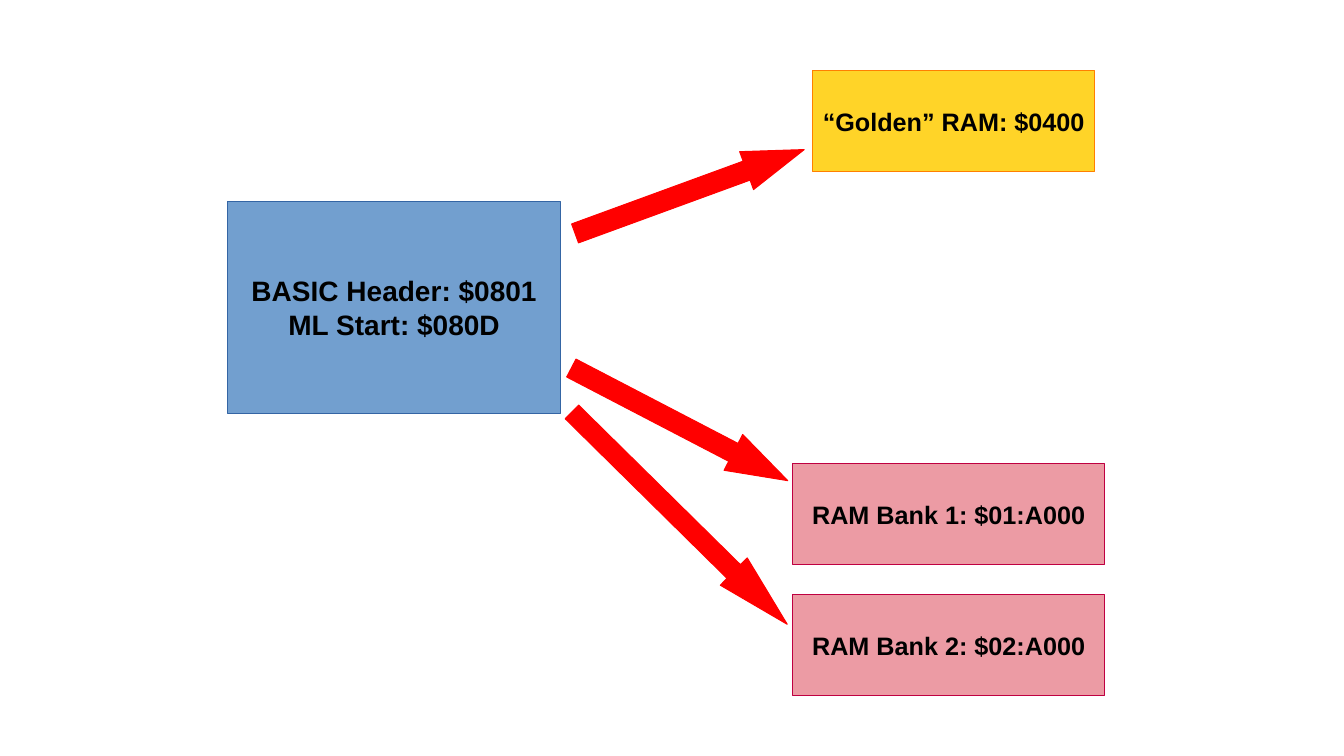
import pptx
import pptx.util
from pptx.dml.color import RGBColor
from pptx.enum.shapes import MSO_SHAPE
from pptx.enum.text import MSO_ANCHOR, PP_ALIGN
from pptx.util import Inches

COLORS = {
    "header": "729FCF", "header_line": "3465A4",
    "golden": "FFD428", "golden_line": "FF8000",
    "bank": "EC9BA4", "bank_line": "BF0041",
    "arrow": "FF0000", "text": "000000",
}


def add_filled(s, kind, at, fill, line):
    """Add a preset shape with a flat fill and a hairline outline."""
    sp = s.shapes.add_shape(kind, *(Inches(v) for v in at))
    sp.shadow.inherit = False
    sp.fill.solid()
    sp.fill.fore_color.rgb = RGBColor.from_string(COLORS[fill])
    sp.line.color.rgb = RGBColor.from_string(COLORS[line])
    sp.line.width = pptx.util.Pt(0)
    return sp


def add_block(s, at, color, lines, size=18):
    """Add a memory block with centred bold lines."""
    sp = add_filled(s, MSO_SHAPE.RECTANGLE, at, color, color + "_line")
    tf = sp.text_frame
    tf.word_wrap = False
    tf.vertical_anchor = MSO_ANCHOR.MIDDLE
    for i, text in enumerate(lines):
        p = tf.paragraphs[0] if i == 0 else tf.add_paragraph()
        p.text = text
        p.alignment = PP_ALIGN.CENTER
        p.font.name = "Arial"
        p.font.size = pptx.util.Pt(size)
        p.font.bold = True
        p.font.color.rgb = RGBColor.from_string(COLORS["text"])


def add_arrow(s, at, angle, head):
    """Add a rotated block arrow; head is its head length over its height."""
    sp = add_filled(s, MSO_SHAPE.RIGHT_ARROW, at, "arrow", "arrow")
    sp.adjustments[0] = 0.5
    sp.adjustments[1] = head
    sp.rotation = angle


def main():
    prs = pptx.Presentation()
    prs.slide_width, prs.slide_height = Inches(13.33), Inches(7.5)
    s = prs.slides.add_slide(prs.slide_layouts[6])

    # Program and golden RAM
    add_block(s, (2.26, 2, 3.3, 2.1), "header",
              ["BASIC Header: $0801", "ML Start: $080D"], size=20)
    add_block(s, (8.06, 0.7, 2.8, 1), "golden", ["“Golden” RAM: $0400"])

    # RAM banks
    for bank in (1, 2):
        add_block(s, (7.86, 3.3 + 1.3 * bank, 3.1, 1), "bank",
                  [f"RAM Bank {bank}: $0{bank}:A000"])

    # Arrows from the program to each memory area
    add_arrow(s, (5.63, 1.7, 2.42, 0.4), 339.9, 1.52)
    add_arrow(s, (5.53, 4.01, 2.42, 0.4), 27.5, 1.52)
    add_arrow(s, (5.24, 4.95, 3, 0.38), 44.6, 1.96)

    prs.save("out.pptx")


if __name__ == "__main__":
    main()
